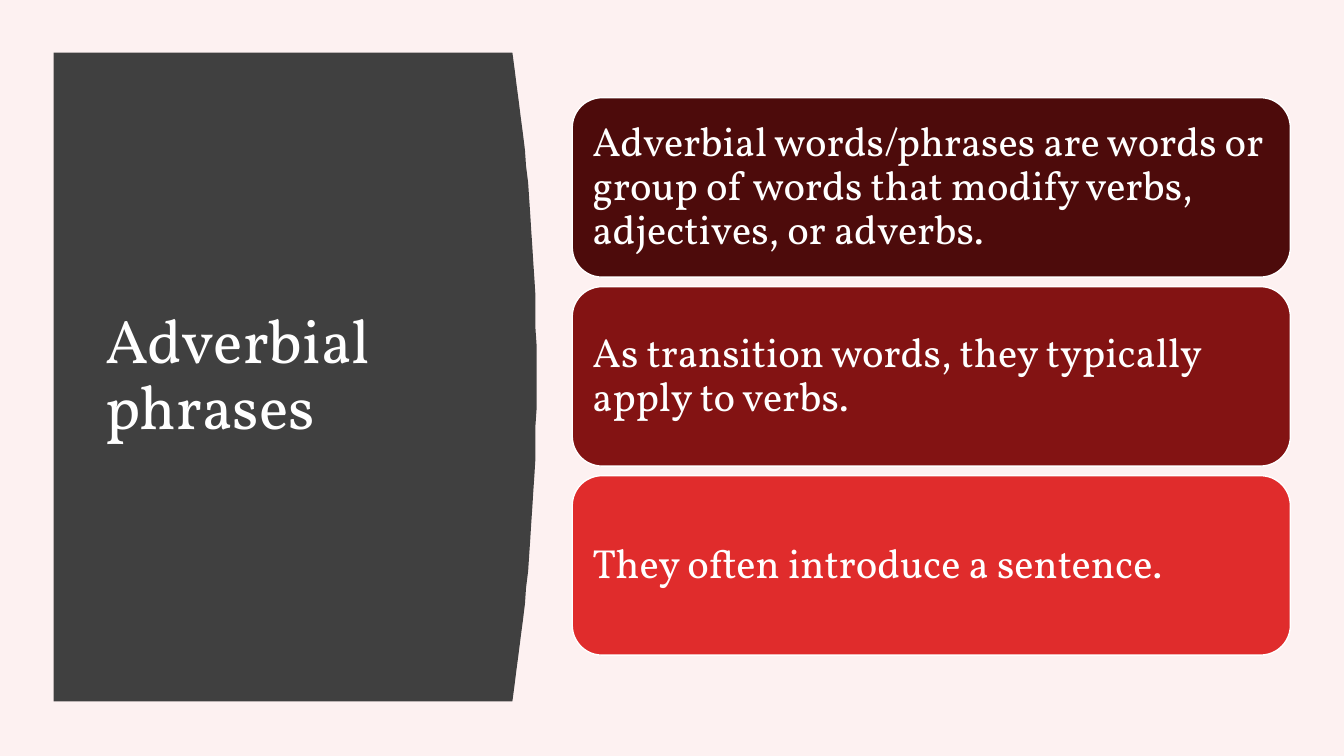
from dataclasses import dataclass

from pptx import Presentation
from pptx.dml.color import RGBColor
from pptx.enum.shapes import MSO_SHAPE
from pptx.enum.text import MSO_ANCHOR, MSO_AUTO_SIZE, PP_ALIGN
from pptx.util import Pt

PX = 9525
TITLE_ONLY = 5
ROUNDED = MSO_SHAPE.ROUNDED_RECTANGLE
MIDDLE = MSO_ANCHOR.MIDDLE
NO_AUTOFIT = MSO_AUTO_SIZE.NONE
LEFT = PP_ALIGN.LEFT


@dataclass(frozen=True)
class Theme:
    font: str = "Vollkorn"
    title_size: int = 44
    card_size: int = 29
    background: str = "FDF1F1"
    panel: str = "404040"
    light: str = "FFFFFF"
    cards: tuple = ("4D0B0B", "831313", "E02C2C")


THEME = Theme()
TITLE = "Adverbial phrases"
POINTS = (
    "Adverbial words/phrases are words or group of words that modify verbs, "
    "adjectives, or adverbs.",
    "As transition words, they typically apply to verbs.",
    "They often introduce a sentence.",
)


def paint(fill, color):
    fill.solid()
    fill.fore_color.rgb = RGBColor.from_string(color)


def write(frame, wording, size, inset):
    """Fill a text frame with one left-aligned, vertically centred paragraph."""
    frame.text = wording
    frame.word_wrap = True
    frame.auto_size = NO_AUTOFIT
    frame.vertical_anchor = MIDDLE
    frame.margin_left = frame.margin_right = inset * PX
    frame.margin_top = frame.margin_bottom = inset * PX
    paragraph = frame.paragraphs[0]
    paragraph.alignment = LEFT
    paragraph.line_spacing = 0.9
    paragraph.font.name = THEME.font
    paragraph.font.size = Pt(size)
    paragraph.font.color.rgb = RGBColor.from_string(THEME.light)


def add_title_panel(slide, left, top, width, height):
    """Draw the panel whose right edge bows outwards, with the title over it."""
    bulge, steps = 23, 40
    edge = []
    for step in range(steps + 1):
        t = step / steps
        x = left + width - bulge + 4 * bulge * t * (1 - t)
        edge.append((x, top + height * t))
    outline = slide.shapes.build_freeform(left, top, scale=PX)
    outline.add_line_segments(edge + [(left, top + height)], close=True)
    panel = outline.convert_to_shape()
    panel.shadow.inherit = False
    paint(panel.fill, THEME.panel)
    panel.line.fill.background()

    title = slide.shapes.title
    title.left, title.top = (left + 39) * PX, (top + 57) * PX
    title.width, title.height = (width - 101) * PX, (height - 115) * PX
    write(title.text_frame, TITLE, THEME.title_size, 10)
    # The title comes first in the layout, so lift it above the panel.
    slide.shapes._spTree.append(title._element)


def add_cards(slide, left, top, width, height):
    """Stack one rounded card per point, evenly spaced down the box."""
    gap = 9
    card_height = (height - gap * (len(POINTS) - 1)) // len(POINTS)
    for row, (point, color) in enumerate(zip(POINTS, THEME.cards)):
        card_top = top + row * (card_height + gap)
        card = slide.shapes.add_shape(
            ROUNDED, left * PX, card_top * PX, width * PX, card_height * PX)
        card.shadow.inherit = False
        paint(card.fill, color)
        paint(card.line.fill, THEME.light)
        card.line.width = Pt(1)
        write(card.text_frame, point, THEME.card_size, 11)


def main():
    deck = Presentation()
    deck.slide_width, deck.slide_height = 1280 * PX, 720 * PX
    slide = deck.slides.add_slide(deck.slide_layouts[TITLE_ONLY])
    paint(slide.background.fill, THEME.background)
    add_title_panel(slide, 51, 50, 460, 618)
    add_cards(slide, 545, 93, 684, 531)
    deck.save("out.pptx")


if __name__ == "__main__":
    main()
